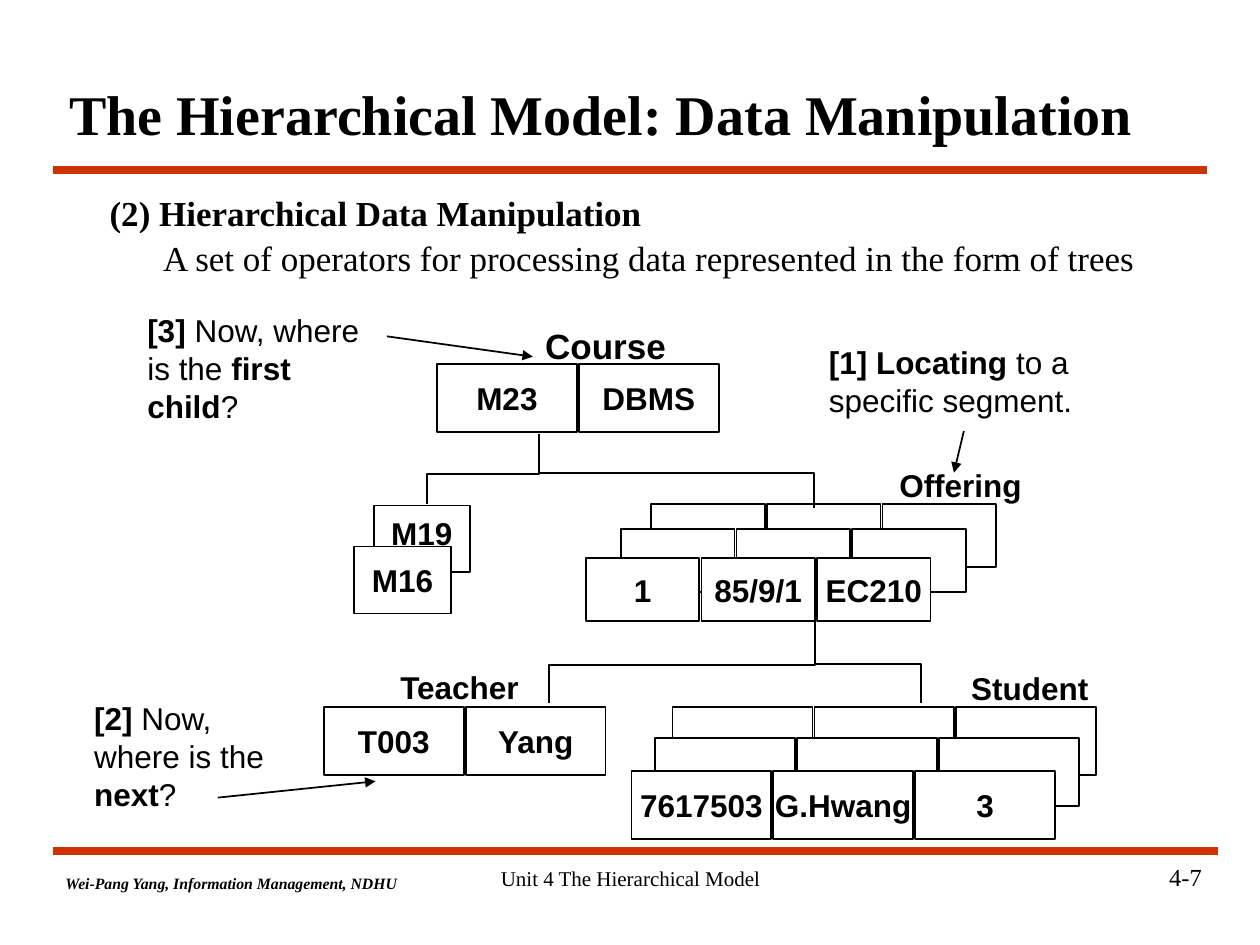
"""Build the slide on data manipulation in the hierarchical model."""
from lxml import etree
from pptx import Presentation
from pptx.dml.color import RGBColor
from pptx.enum.shapes import MSO_CONNECTOR, MSO_SHAPE
from pptx.enum.text import MSO_ANCHOR, PP_ALIGN
from pptx.oxml.ns import qn
from pptx.util import Cm, Pt

RECT = MSO_SHAPE.RECTANGLE
STRAIGHT = MSO_CONNECTOR.STRAIGHT
TOP, MIDDLE = MSO_ANCHOR.TOP, MSO_ANCHOR.MIDDLE
LEFT, CENTER, RIGHT = PP_ALIGN.LEFT, PP_ALIGN.CENTER, PP_ALIGN.RIGHT
SERIF, SANS = "Times New Roman", "Arial"
COLORS = {"ink": "000000", "paper": "FFFFFF", "rule": "CC3300"}
RGB = {name: RGBColor.from_string(value) for name, value in COLORS.items()}
GAP = 0.04


def write(sp, text, size=18, font=SANS, italic=False, align=LEFT, anchor=TOP,
          wrap=True, top=0.13, spacing=1.0, before=0, indents=(0,)):
    """Fill a shape with lines of text, where asterisks enclose bold words."""
    tf = sp.text_frame
    tf.word_wrap, tf.vertical_anchor = wrap, anchor
    tf.margin_left = tf.margin_right = Cm(0.25)
    tf.margin_top, tf.margin_bottom = Cm(top), Cm(0.13)
    for i, (line, indent) in enumerate(zip(text.split("\n"), indents)):
        p = tf.add_paragraph() if i else tf.paragraphs[0]
        p.alignment, p.line_spacing = align, spacing
        p.space_before = Pt(before if i else 0)
        if indent:
            p._p.get_or_add_pPr().set("marL", str(Cm(indent)))
        for j, part in enumerate(line.split("*")):
            if part:
                r = p.add_run()
                r.text = part
                r.font.size, r.font.name = Pt(size), font
                r.font.bold, r.font.italic = j % 2 == 1, italic
                r.font.color.rgb = RGB["ink"]


def add_line(s, x1, y1, x2, y2, color="ink", width=1, arrow=False):
    """Draw a straight line in centimetres, with an optional arrowhead."""
    cn = s.shapes.add_connector(STRAIGHT, Cm(x1), Cm(y1), Cm(x2), Cm(y2))
    cn.line.color.rgb, cn.line.width = RGB[color], Pt(width)
    if arrow:
        etree.SubElement(cn.line._get_or_add_ln(), qn("a:tailEnd"), type="triangle")
    etree.SubElement(cn._element.spPr, qn("a:effectLst"))


prs = Presentation()
prs.slide_width, prs.slide_height = Cm(25.4), Cm(19.05)
s = prs.slides.add_slide(prs.slide_layouts[6])

add_line(s, 1.07, 3.43, 24.33, 3.43, color="rule", width=4.5)
add_line(s, 1.07, 17.15, 24.56, 17.15, color="rule", width=4.5)

body = ("*(2) Hierarchical Data Manipulation*\n"
        "A set of operators for processing data represented in the form of trees")
texts = [
    ((19.2, 17.25, 5.28, 1.27), "4-7", dict(size=14, font=SERIF, align=RIGHT)),
    ((1.07, 17.48, 8.2, 0.64), "*Wei-Pang Yang, Information Management, NDHU*",
     dict(size=9, font=SERIF, italic=True)),
    ((8.69, 17.32, 8.05, 1.27), "Unit 4 The Hierarchical Model",
     dict(size=12, font=SERIF, align=CENTER)),
    ((0.69, 1.12, 22.86, 2.34), "*The Hierarchical Model: Data Manipulation*",
     dict(size=32, font=SERIF, align=CENTER, anchor=MIDDLE)),
    ((0.69, 3.73, 24, 12.9), body,
     dict(size=20, font=SERIF, before=2, indents=(1.27, 2.35))),
    ((10.74, 6.15, 3.23, 1.35), "*Course*", dict(size=20, spacing=1.3)),
    ((17.88, 9.27, 3.91, 1.02), "*Offering*", {}),
    ((7.82, 13.34, 3.35, 1.02), "*Teacher*", {}),
    ((19.33, 13.36, 3.53, 1.02), "*Student*", {}),
    ((16.46, 6.78, 5.84, 1.78), "*[1] Locating *to a specific segment.", {}),
    ((0.38, 13.97, 5.46, 2.54), "*[2] *Now, where is the *next*?",
     dict(indents=(1.27,))),
    ((2.72, 6.15, 5.13, 2.54), "*[3] *Now, where is the *first child*?", {}),
]
for box, text, fmt in texts:
    write(s.shapes.add_textbox(*map(Cm, box)), text, **fmt)

wide, narrow = (2.82, 1.37), (2.29, 1.27)
back = [
    (8.81, 7.34, wide, ["M23", "DBMS"], {}),
    (7.54, 10.19, (1.93, 1.35), ["M19"], dict(top=0, spacing=0.9)),
    (13.13, 10.16, narrow, [""] * 3, {}),
    (13.56, 14.25, wide, [""] * 3, {}),
    (6.53, 14.25, wide, ["T003", "Yang"], {}),
]
front = [
    (12.52, 10.67, narrow, [""] * 3, {}),
    (11.81, 11.25, narrow, ["1", "85/9/1", "EC210"], {}),
    (13.21, 14.88, wide, [""] * 3, {}),
    (12.73, 15.54, wide, ["7617503", "G.Hwang", "3"], {}),
    (7.14, 11.02, (1.95, 1.35), ["M16"], {}),
]
links = [
    [(10.87, 8.74), (10.87, 9.55), (8.61, 9.55), (8.61, 10.16)],
    [(10.87, 9.53), (16.41, 9.53), (16.41, 10.24)],
    [(16.43, 12.5), (16.43, 13.41), (11.07, 13.41), (11.07, 14.17)],
    [(16.43, 13.39), (18.57, 13.39), (18.57, 14.17)],
]
for records, paths in ((back, links), (front, [])):
    for x, y, (w, h), fields, fmt in records:
        for i, field in enumerate(fields):
            sp = s.shapes.add_shape(RECT, Cm(x + i * (w + GAP)), Cm(y), Cm(w), Cm(h))
            sp.shadow.inherit = False
            sp.fill.solid()
            sp.fill.fore_color.rgb = RGB["paper"]
            sp.line.color.rgb, sp.line.width = RGB["ink"], Pt(1)
            if field:
                write(sp, f"*{field}*", align=CENTER, anchor=MIDDLE, wrap=False, **fmt)
    for path in paths:
        start, *rest = [(Cm(x), Cm(y)) for x, y in path]
        fb = s.shapes.build_freeform(*start)
        fb.add_line_segments(rest, close=False)
        sp = fb.convert_to_shape()
        sp.shadow.inherit = False
        sp.fill.background()
        sp.line.color.rgb, sp.line.width = RGB["ink"], Pt(1)

for ends in ((19.43, 8.69, 19.23, 9.53), (4.39, 16.08, 7.57, 15.75),
             (7.8, 6.78, 10.74, 7.19)):
    add_line(s, *ends, arrow=True)

prs.save("out.pptx")
